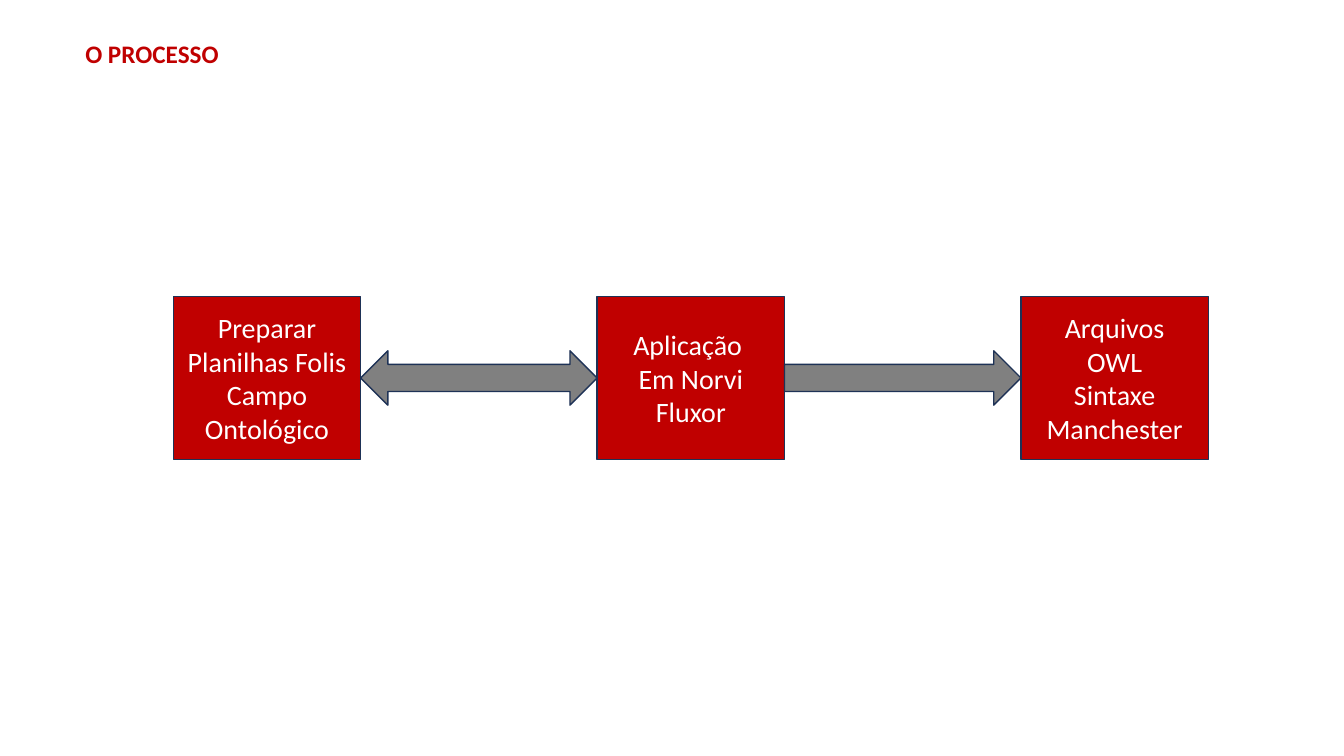
from dataclasses import dataclass

from pptx import Presentation
from pptx.dml.color import RGBColor
from pptx.enum.shapes import MSO_SHAPE
from pptx.enum.text import MSO_ANCHOR, MSO_AUTO_SIZE, PP_ALIGN
from pptx.shapes.autoshape import Shape
from pptx.slide import Slide
from pptx.text.text import Font
from pptx.util import Cm, Pt

RECT = MSO_SHAPE.RECTANGLE
BOTH = MSO_SHAPE.LEFT_RIGHT_ARROW
RIGHT = MSO_SHAPE.RIGHT_ARROW
MIDDLE = MSO_ANCHOR.MIDDLE
FIT = MSO_AUTO_SIZE.SHAPE_TO_FIT_TEXT
CENTER = PP_ALIGN.CENTER


@dataclass(frozen=True)
class Theme:
    font: str = "Calibri"
    red: RGBColor = RGBColor(0xC0, 0x00, 0x00)
    gray: RGBColor = RGBColor(0x80, 0x80, 0x80)
    navy: RGBColor = RGBColor(0x1E, 0x32, 0x56)
    white: RGBColor = RGBColor(0xFF, 0xFF, 0xFF)
    title: Pt = Pt(18)
    body: Pt = Pt(20)
    line: Pt = Pt(1)


@dataclass(frozen=True)
class Step:
    lines: tuple[str, ...]


@dataclass(frozen=True)
class Arrow:
    kind: MSO_SHAPE


THEME = Theme()
STEPS = (
    Step(("Preparar", "Planilhas Folis", "Campo Ontológico")),
    Step(("Aplicação ", "Em Norvi", "Fluxor")),
    Step(("Arquivos", "OWL", "Sintaxe Manchester")),
)
ARROWS = (Arrow(BOTH), Arrow(RIGHT))

# Row layout in centimetres
LEFT, TOP = 4.37, 7.47
WIDTH, HEIGHT = 4.72, 4.11
GAP = 5.96
PITCH = WIDTH + GAP
THICK = 1.37


def style(font: Font, size: Pt, color: RGBColor) -> None:
    font.name = THEME.font
    font.size = size
    font.color.rgb = color


def add_block(slide: Slide, kind: MSO_SHAPE, left: float, top: float,
              width: float, height: float, fill: RGBColor) -> Shape:
    block = slide.shapes.add_shape(kind, Cm(left), Cm(top), Cm(width), Cm(height))
    block.shadow.inherit = False
    block.fill.solid()
    block.fill.fore_color.rgb = fill
    block.line.color.rgb = THEME.navy
    block.line.width = THEME.line
    return block


def add_title(slide: Slide, text: str) -> None:
    box = slide.shapes.add_textbox(Cm(1.9), Cm(0.85), Cm(3.9), Cm(1.03))
    frame = box.text_frame
    frame.word_wrap = False
    frame.auto_size = FIT
    frame.text = text
    font = frame.paragraphs[0].font
    style(font, THEME.title, THEME.red)
    font.bold = True


def add_step(slide: Slide, step: Step, left: float) -> None:
    block = add_block(slide, RECT, left, TOP, WIDTH, HEIGHT, THEME.red)
    frame = block.text_frame
    frame.word_wrap = True
    frame.vertical_anchor = MIDDLE
    frame.text = "\n".join(step.lines)
    for para in frame.paragraphs:
        para.alignment = CENTER
        style(para.font, THEME.body, THEME.white)


def add_arrow(slide: Slide, arrow: Arrow, left: float) -> None:
    top = TOP + (HEIGHT - THICK) / 2
    add_block(slide, arrow.kind, left, top, GAP, THICK, THEME.gray)


def main() -> None:
    deck = Presentation()
    deck.slide_width, deck.slide_height = Cm(33.87), Cm(19.05)
    slide = deck.slides.add_slide(deck.slide_layouts[6])

    # Heading
    add_title(slide, "O PROCESSO")

    # Steps in a row
    for i, step in enumerate(STEPS):
        add_step(slide, step, LEFT + i * PITCH)

    # Arrows filling the gaps
    for i, arrow in enumerate(ARROWS):
        add_arrow(slide, arrow, LEFT + WIDTH + i * PITCH)

    deck.save("out.pptx")


if __name__ == "__main__":
    main()
